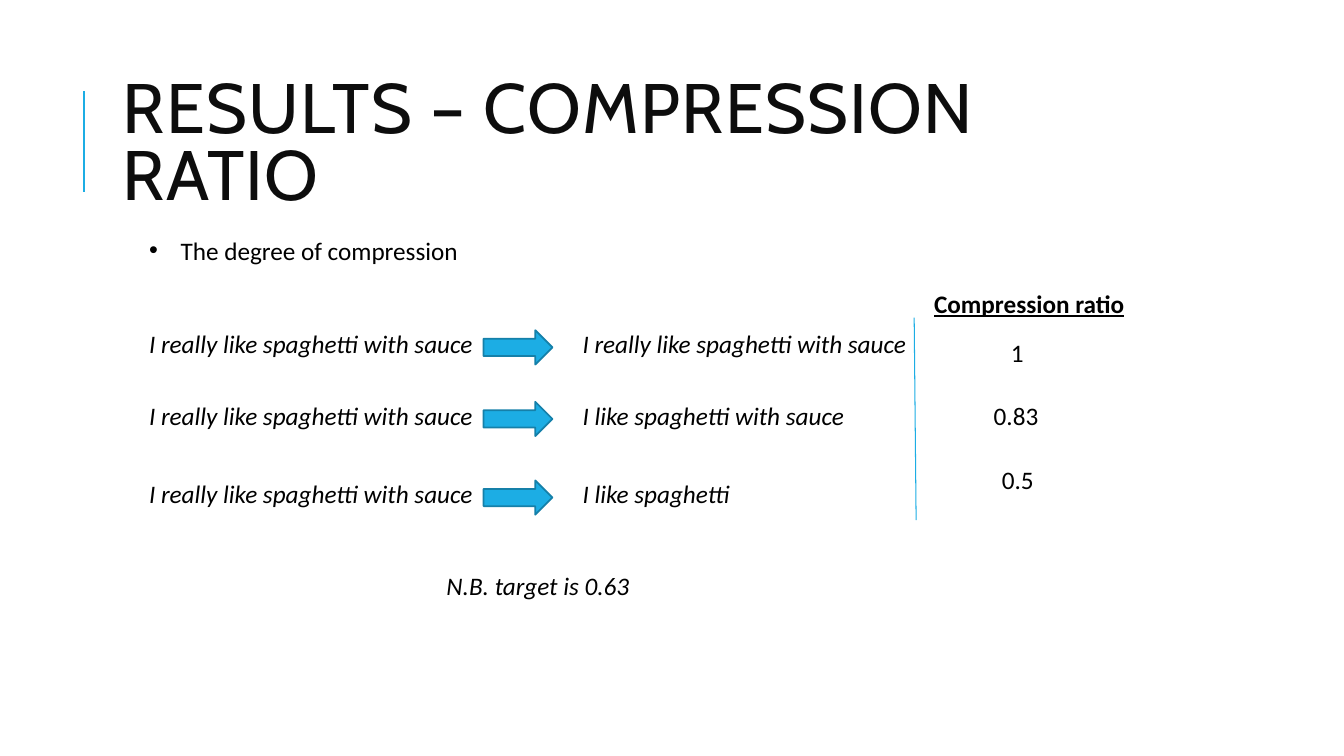
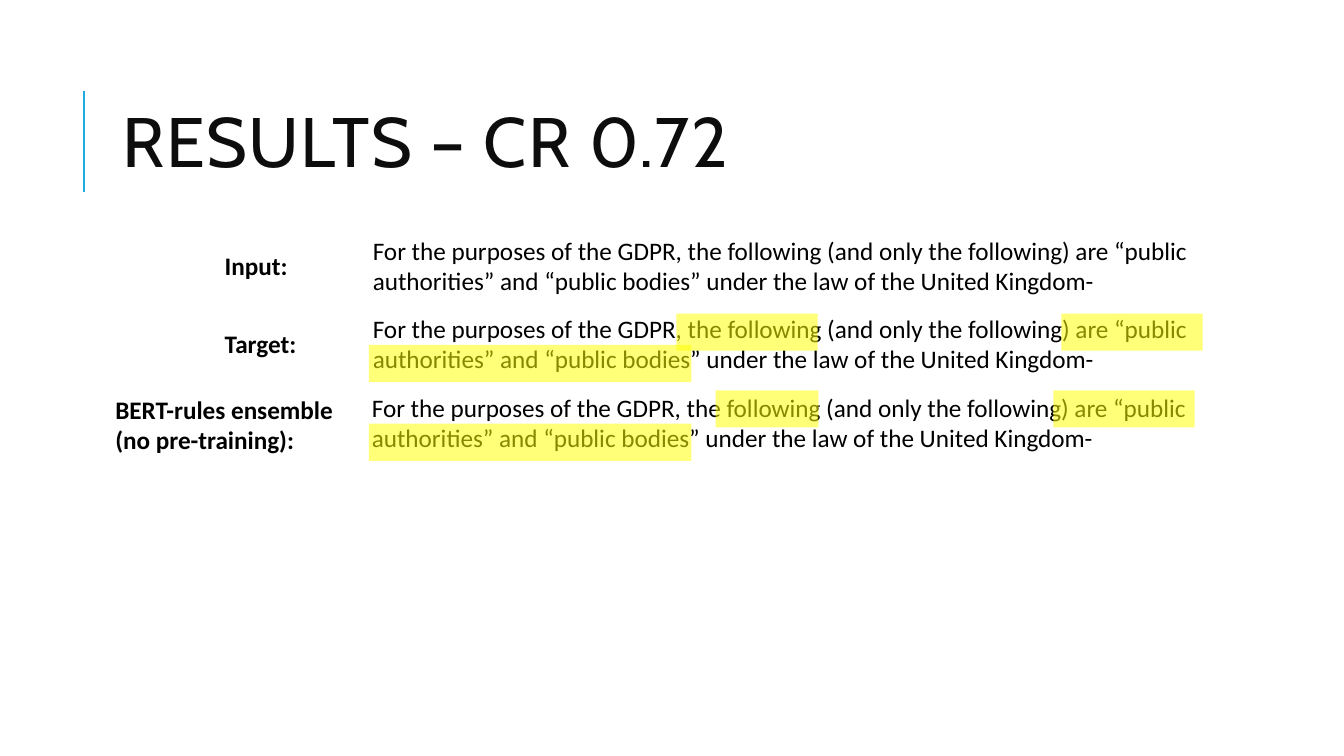
import lxml.etree
import pptx
import pptx.util
import pptx.dml.color
import pptx.enum.shapes
import pptx.enum.text
import pptx.oxml.ns

Pt = pptx.util.Pt
SHAPES = pptx.enum.shapes.MSO_SHAPE
ACCENT, ACCENT_DARK = "1CADE4", "1580A9"
TITLE_COLOR, BODY_COLOR, MARKER = "0D0D0D", "000000", "FFFF00"
TITLE_FONT, BODY_FONT = "Cabin", "Calibri"
LINE_HEIGHT = 28.8

SENTENCE = "I really like spaghetti with sauce"
CLAUSE = ("For the purposes of the GDPR, the following (and only the following) are "
          "“public authorities” and “public bodies” under the law of the United Kingdom-")


def color(hex_string):
    return pptx.dml.color.RGBColor.from_string(hex_string)


def add_element(parent, tag, **attributes):
    element = lxml.etree.SubElement(parent, pptx.oxml.ns.qn(tag))
    for name, value in attributes.items():
        element.set(name, str(value))


def add_text(slide, text, left, top, width, height=LINE_HEIGHT, size=18, font=BODY_FONT,
             fill=BODY_COLOR, bold=False, italic=False, underline=False, bullet=None,
             indent=22.5, tracking=0, line_spacing=None, middle=False):
    shape = slide.shapes.add_textbox(Pt(left), Pt(top), Pt(width), Pt(height))
    frame = shape.text_frame
    frame.word_wrap = True
    if middle:
        frame.vertical_anchor = pptx.enum.text.MSO_ANCHOR.MIDDLE
    paragraph = frame.paragraphs[0]
    if line_spacing:
        paragraph.line_spacing = line_spacing
    if bullet:
        properties = paragraph._p.get_or_add_pPr()
        properties.set("marL", str(int(Pt(indent))))
        properties.set("indent", str(-int(Pt(indent))))
        add_element(properties, "a:buFont", typeface="Arial")
        add_element(properties, "a:buChar", char=bullet)
    run = paragraph.add_run()
    run.text = text
    run.font.size = Pt(size)
    run.font.name = font
    run.font.color.rgb = color(fill)
    run.font.bold, run.font.italic, run.font.underline = bold, italic, underline
    if tracking:
        run._r.get_or_add_rPr().set("spc", str(int(tracking * 100)))


def add_block(slide, kind, left, top, width, height, fill, line=None, opacity=None):
    shape = slide.shapes.add_shape(kind, Pt(left), Pt(top), Pt(width), Pt(height))
    shape.shadow.inherit = False
    shape.fill.solid()
    shape.fill.fore_color.rgb = color(fill)
    if opacity:
        fill_color = shape._element.spPr.find(".//" + pptx.oxml.ns.qn("a:srgbClr"))
        add_element(fill_color, "a:alpha", val=opacity * 1000)
    if line:
        shape.line.color.rgb = color(line)
        shape.line.width = Pt(1.25)
    else:
        shape.line.fill.background()


def add_line(slide, start, end, width):
    line = slide.shapes.add_connector(pptx.enum.shapes.MSO_CONNECTOR.STRAIGHT,
                                      *map(Pt, start + end))
    line.line.color.rgb = color(ACCENT)
    line.line.width = Pt(width)
    add_element(line._element.spPr, "a:effectLst")


def add_titled_slide(presentation, title):
    slide = presentation.slides.add_slide(presentation.slide_layouts[6])
    add_line(slide, (60, 136.8), (60, 64.8), 1.5)
    add_text(slide, title, 80.64, 46.08, 765.36, 118.08, size=50, font=TITLE_FONT,
             fill=TITLE_COLOR, tracking=1, line_spacing=0.8, middle=True)
    return slide


def add_compression_row(slide, left, top, compressed):
    add_text(slide, SENTENCE, left, top, 255.6, italic=True)
    add_block(slide, SHAPES.RIGHT_ARROW, left + 246, top + 4.8, 49.2, 24.5,
              ACCENT, line=ACCENT_DARK)
    add_text(slide, compressed, left + 309.6, top, 255.6, italic=True)


def add_ratio_column(slide, left, top, ratios):
    add_text(slide, "Compression ratio", left, top, 180, bold=True, underline=True)
    add_line(slide, (left - 7.2, top + 24.5), (left - 5.8, top + 169.2), 0.75)
    for ratio, x, y in ratios:
        add_text(slide, ratio, left + x, top + y, 54)


def add_clause_row(slide, left, top, label, label_box, highlights):
    # Label position and highlights are offsets from the clause box
    label_x, label_y, label_width, label_height = label_box
    add_text(slide, CLAUSE, left, top, 607, 51.1)
    for x, y, width in highlights:
        add_block(slide, SHAPES.RECTANGLE, left + x, top + y, width, 26.6,
                  MARKER, opacity=53)
    add_text(slide, label, left + label_x, top + label_y, label_width, label_height,
             bold=True)


def build_ratio_slide(presentation):
    slide = add_titled_slide(presentation, "RESULTS – COMPRESSION RATIO")
    left = 99.4
    add_text(slide, "The degree of compression", left, 164.2, 550, bullet="•")
    for top, compressed in ((231.1, SENTENCE),
                            (282.2, "I like spaghetti with sauce"),
                            (338.4, "I like spaghetti")):
        add_compression_row(slide, left, top, compressed)
    add_ratio_column(slide, 660.2, 202.3,
                     (("1", 54.8, 35.3), ("0.83", 42.5, 79.9), ("0.5", 48.3, 126)))
    add_text(slide, "N.B. target is 0.63", 311.8, 403.9, 154, italic=True)


def build_example_slide(presentation):
    slide = add_titled_slide(presentation, "RESULTS – CR 0.72")
    short_label = (-105.8, 10.8, 77.8, LINE_HEIGHT)
    long_label = (-183.2, 1.4, 188.6, 51.1)
    rows = (
        ("Input:", 259.2, short_label, ()),
        ("Target:", 259.2, short_label,
         ((224, 3.6, 100.8), (499, 3.6, 100.8), (4.3, 26, 230.4))),
        ("BERT-rules ensemble (no pre-training):", 258.5, long_label,
         ((252.7, 2.2, 73.4), (494, 2.2, 100.8), (5, 26, 230.4))),
    )
    for index, (label, left, label_box, highlights) in enumerate(rows):
        add_clause_row(slide, left, 164.2 + index * 56.2, label, label_box, highlights)


def main():
    presentation = pptx.Presentation()
    presentation.slide_width, presentation.slide_height = Pt(960), Pt(540)
    build_ratio_slide(presentation)
    build_example_slide(presentation)
    presentation.save("out.pptx")


if __name__ == "__main__":
    main()
